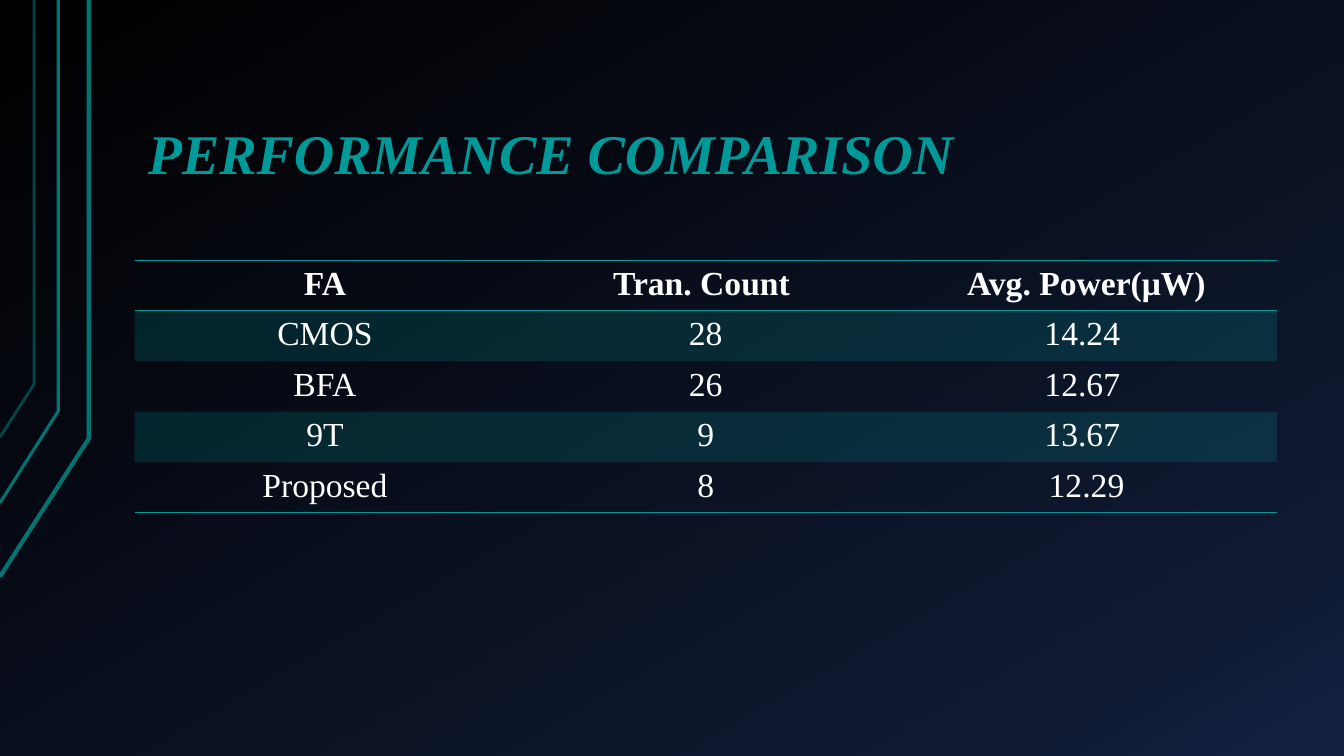
from copy import deepcopy
from dataclasses import dataclass

from lxml import etree
from pptx import Presentation
from pptx.dml.color import RGBColor
from pptx.enum import text as txt
from pptx.oxml.ns import qn
from pptx.util import Cm, Pt


@dataclass(frozen=True)
class Theme:
    """Colours, font and type sizes of the deck."""
    teal: str = "009999"
    rail: str = "007373"
    white: str = "FFFFFF"
    grad: tuple = ((0, "000000"), (0.85, "0F1931"), (1, "142242"))
    font: str = "Times New Roman"
    title: int = 40
    body: int = 24


THEME = Theme()
PLAIN = "{2D5ABB26-0587-4C30-8999-92F81FD0307C}"
RAILS = (
    (2.24, 11.05, 14.53, 3, 100),
    (1.47, 10.36, 12.67, 2.25, 100),
    (0.86, 9.68, 11.02, 2, 60),
)
ROWS = (
    ("FA", "Tran. Count ", "Avg. Power(μW)"),
    ("CMOS", "28", "14.24 "),
    ("BFA", "26", "12.67 "),
    ("9T", "9", "13.67 "),
    ("Proposed", "8", "12.29"),
)


def write(frame, words, size, color, bold=False, italic=False, align=None, space=None):
    """Put one formatted paragraph into a text frame."""
    para = frame.paragraphs[0]
    para.alignment = align
    para.line_spacing = space
    run = para.add_run()
    run.text = words
    font = run.font
    font.name, font.size = THEME.font, Pt(size)
    font.bold, font.italic = bold, italic
    font.color.rgb = RGBColor.from_string(color)


def fade(node, share):
    """Set the opacity, in percent, of the first colour under a node."""
    color = node.find(".//" + qn("a:srgbClr"))
    etree.SubElement(color, qn("a:alpha")).set("val", str(share * 1000))


def paint(slide):
    """Fill the background with the theme gradient."""
    fill = slide.background.fill
    fill.gradient()
    fill.gradient_angle = 300
    stops = slide.element.find(".//" + qn("a:gsLst"))
    stops.append(deepcopy(stops[0]))
    for stop, (place, color) in zip(fill.gradient_stops, THEME.grad):
        stop.position = place
        stop.color.rgb = RGBColor.from_string(color)


def rails(slide, left, top):
    """Draw the bent lines that run down the left edge."""
    for across, bend, end, width, share in RAILS:
        pen = slide.shapes.build_freeform(Cm(left), Cm(top + end))
        pen.add_line_segments(
            [(Cm(left + across), Cm(top + bend)), (Cm(left + across), Cm(top))],
            close=False)
        rail = pen.convert_to_shape()
        rail.shadow.inherit = False
        rail.fill.background()
        rail.line.width = Pt(width)
        rail.line.color.rgb = RGBColor.from_string(THEME.rail)
        if share < 100:
            fade(rail.line.fill._xPr, share)


def title(slide, words, left, top, width, height):
    """Place the title at the bottom of its box."""
    box = slide.shapes.add_textbox(Cm(left), Cm(top), Cm(width), Cm(height))
    frame = box.text_frame
    frame.word_wrap = True
    frame.vertical_anchor = txt.MSO_ANCHOR.BOTTOM
    frame.margin_left = frame.margin_right = Cm(0.34)
    frame.margin_top = frame.margin_bottom = Cm(0.17)
    write(frame, words, THEME.title, THEME.teal, bold=True, italic=True, space=0.9)


def rule(cell, sides):
    """Draw thin lines on the given sides of a cell."""
    props = cell._tc.get_or_add_tcPr()
    for spot, side in enumerate(sides):
        line = etree.Element(qn("a:ln" + side), w=str(Pt(1)))
        solid = etree.SubElement(line, qn("a:solidFill"))
        etree.SubElement(solid, qn("a:srgbClr"), val=THEME.teal)
        props.insert(spot, line)


def grid(slide, rows, left, top, width, height):
    """Build the banded table with lines round its head and at its foot."""
    count, cols = len(rows), len(rows[0])
    table = slide.shapes.add_table(
        count, cols, Cm(left), Cm(top), Cm(width), Cm(height)).table
    table.horz_banding = False
    table._tbl.tblPr.find(qn("a:tableStyleId")).text = PLAIN
    for r, row in enumerate(rows):
        for c, words in enumerate(row):
            cell = table.cell(r, c)
            write(cell.text_frame, words, THEME.body, THEME.white,
                  bold=r == 0, align=txt.PP_ALIGN.CENTER)
            if r % 2:
                cell.fill.solid()
                cell.fill.fore_color.rgb = RGBColor.from_string(THEME.teal)
                fade(cell._tc.tcPr, 20)
            else:
                cell.fill.background()
            if r == 0:
                rule(cell, "TB")
            elif r == count - 1:
                rule(cell, "B")


def main():
    """Build the slide and save it."""
    deck = Presentation()
    deck.slide_width, deck.slide_height = Cm(33.87), Cm(19.05)
    slide = deck.slides.add_slide(deck.slide_layouts[6])
    paint(slide)
    rails(slide, 0, 0)
    title(slide, "PERFORMANCE COMPARISON", 3.39, 1.48, 28.79, 3.4)
    grid(slide, ROWS, 3.39, 6.56, 28.79, 5.95)
    deck.save("out.pptx")


if __name__ == "__main__":
    main()
